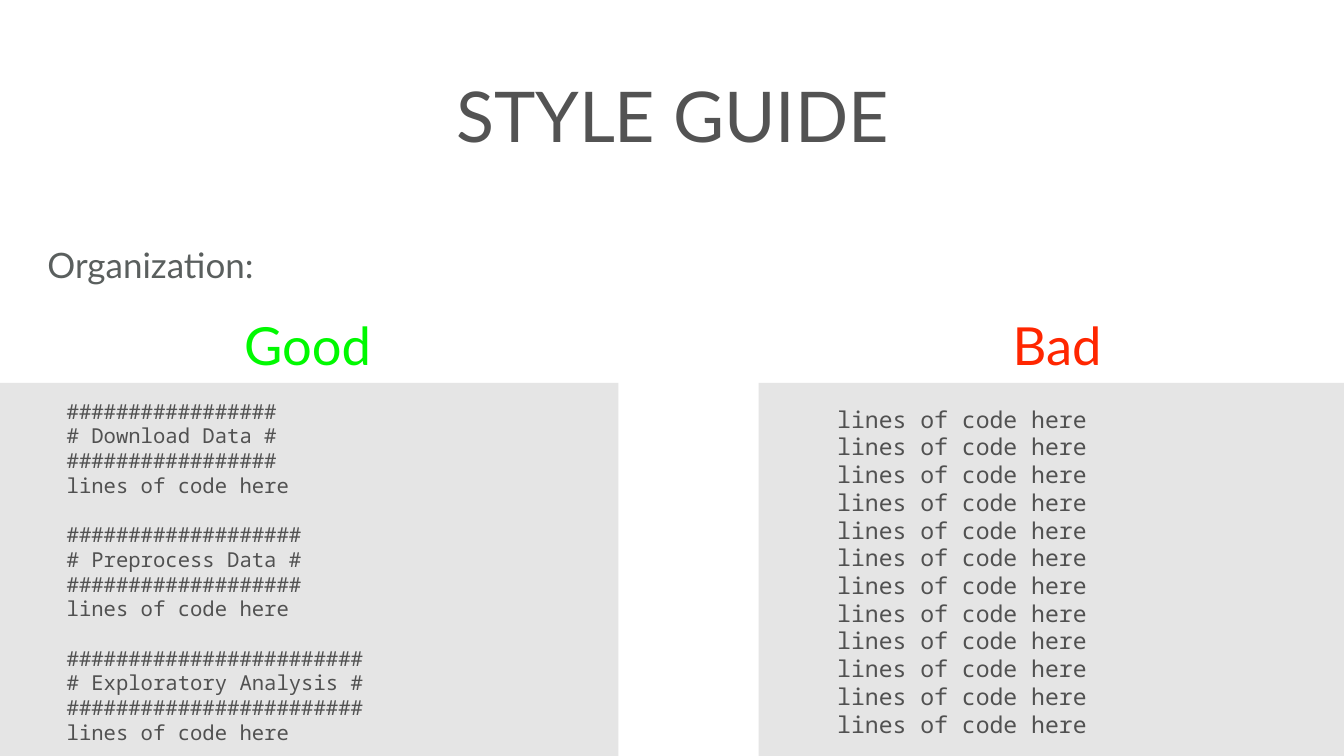
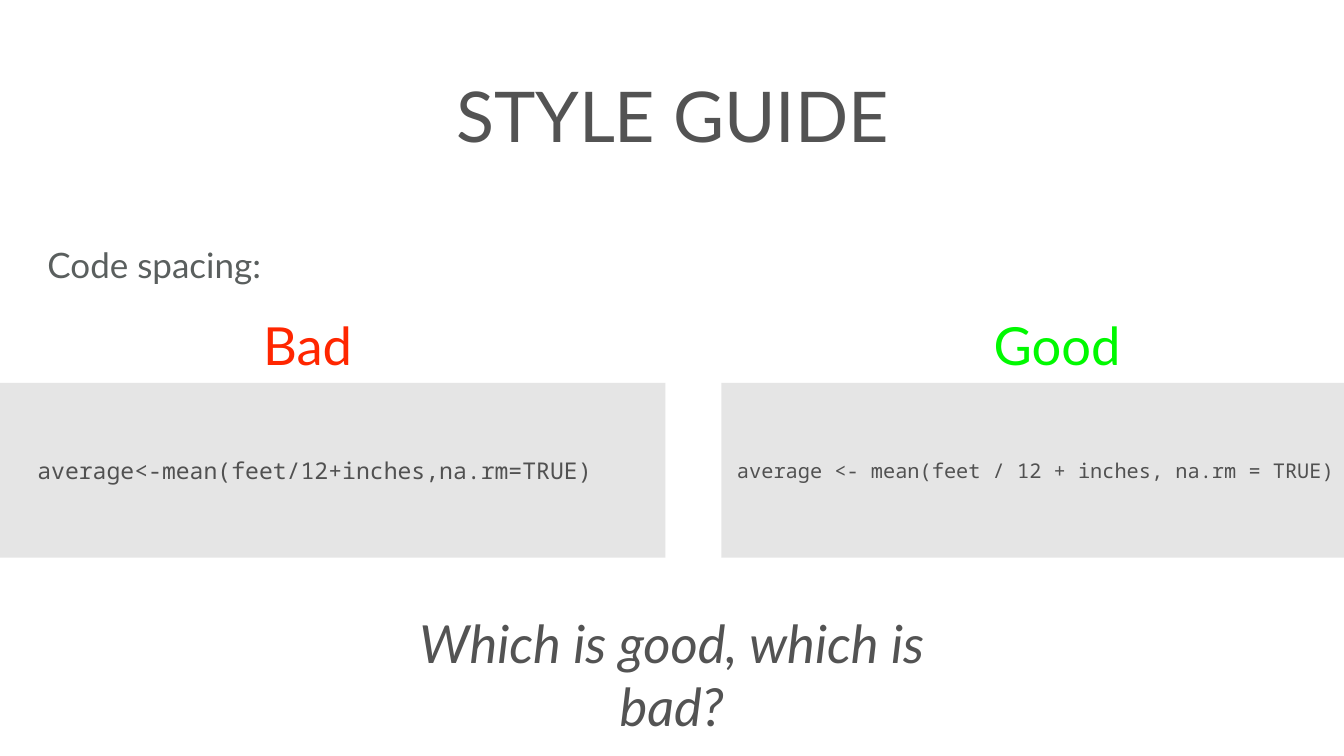
from pptx import Presentation
from pptx.dml.color import RGBColor
from pptx.enum.shapes import MSO_SHAPE
from pptx.enum.text import MSO_ANCHOR, MSO_AUTO_SIZE, PP_ALIGN
from pptx.util import Cm, Pt

HEADING_GREY = RGBColor(0x53, 0x53, 0x53)
TOPIC_GREY = RGBColor(0x5A, 0x5F, 0x5E)
CODE_GREY = RGBColor(0x51, 0x51, 0x51)
PANEL_GREY = RGBColor(0xE5, 0xE5, 0xE5)
GOOD_GREEN = RGBColor(0x00, 0xF9, 0x00)
BAD_RED = RGBColor(0xFF, 0x26, 0x00)

TEXT_FONT = "Lato"
CODE_FONT = "Noto Sans Mono"
INSET = Cm(0.15)
LINE_HEIGHT = 1.2
TITLE_ONLY = 5

TITLE_BOX = (1.88, 0.99, 64.03, 9.53)
TOPIC_BOX = (2.24, 12.12, 47.63, 2.97)
QUESTION_BOX = (18.36, 32.23, 30.99, 3.48)
PANEL_TOP = 19.3
VERDICT_TOP, VERDICT_HEIGHT = 15.62, 3.48
VERDICT_CENTERS = (15.5, 53.27)
VERDICTS = {"Good": (GOOD_GREEN, 6.8), "Bad": (BAD_RED, 4.85)}


def prepare_frame(frame, anchor):
    frame.margin_left = frame.margin_right = INSET
    frame.margin_top = frame.margin_bottom = INSET
    frame.vertical_anchor = anchor


def format_runs(paragraph, font, size, color, italic=None):
    for run in paragraph.runs:
        run.font.name = font
        run.font.size = Pt(size)
        run.font.color.rgb = color
        run.font.italic = italic


def set_indent(paragraph, margin, first_line):
    properties = paragraph._p.get_or_add_pPr()
    properties.set("marL", str(Cm(margin)))
    properties.set("indent", str(Cm(first_line)))


def add_title(slide, box):
    title = slide.shapes.title
    title.left, title.top, title.width, title.height = map(Cm, box)
    frame = title.text_frame
    frame.text = "STYLE GUIDE"
    prepare_frame(frame, MSO_ANCHOR.MIDDLE)
    frame.paragraphs[0].alignment = PP_ALIGN.CENTER
    format_runs(frame.paragraphs[0], TEXT_FONT, 100, HEADING_GREY)


def add_topic(slide, box, topic):
    frame = slide.shapes.add_textbox(*map(Cm, box)).text_frame
    frame.text = topic
    frame.word_wrap = True
    prepare_frame(frame, MSO_ANCHOR.TOP)
    set_indent(frame.paragraphs[0], 1.27, -1.27)
    format_runs(frame.paragraphs[0], TEXT_FONT, 50, TOPIC_GREY)


def add_code_panel(slide, box, sections, size, indent):
    panel = slide.shapes.add_shape(MSO_SHAPE.RECTANGLE, *map(Cm, box))
    panel.shadow.inherit = False
    panel.fill.solid()
    panel.fill.fore_color.rgb = PANEL_GREY
    panel.line.fill.background()
    frame = panel.text_frame
    frame.word_wrap = True
    prepare_frame(frame, MSO_ANCHOR.MIDDLE)
    frame.text = "\n".join(line for section in sections for line in section)
    pitch = Pt(size * LINE_HEIGHT)
    for paragraph in frame.paragraphs:
        paragraph.alignment = PP_ALIGN.LEFT
        paragraph.line_spacing = pitch
        set_indent(paragraph, 0, indent)
        format_runs(paragraph, CODE_FONT, size, CODE_GREY)
    section_start = 0
    for section in sections[:-1]:
        section_start += len(section)
        frame.paragraphs[section_start].space_before = pitch


def add_display_line(slide, box, text, color, italic=None):
    frame = slide.shapes.add_textbox(*map(Cm, box)).text_frame
    frame.text = text
    frame.word_wrap = False
    frame.auto_size = MSO_AUTO_SIZE.SHAPE_TO_FIT_TEXT
    prepare_frame(frame, MSO_ANCHOR.MIDDLE)
    frame.paragraphs[0].alignment = PP_ALIGN.CENTER
    format_runs(frame.paragraphs[0], TEXT_FONT, 75, color, italic)


def add_verdict(slide, center, verdict):
    color, width = VERDICTS[verdict]
    box = (center - width / 2, VERDICT_TOP, width, VERDICT_HEIGHT)
    add_display_line(slide, box, verdict, color)


def add_comparison(deck, topic, panel_height, sides):
    slide = deck.slides.add_slide(deck.slide_layouts[TITLE_ONLY])
    add_title(slide, TITLE_BOX)
    add_topic(slide, TOPIC_BOX, topic)
    for center, (verdict, left, width, sections, size, indent) in zip(VERDICT_CENTERS, sides):
        panel_box = (left, PANEL_TOP, width, panel_height)
        add_code_panel(slide, panel_box, sections, size, indent)
        add_verdict(slide, center, verdict)
    return slide


def banner_section(heading):
    banner = f"# {heading} #"
    rule = "#" * len(banner)
    return [rule, banner, rule, "lines of code here"]


def main():
    deck = Presentation()
    deck.slide_width, deck.slide_height = Cm(67.73), Cm(38.1)

    steps = ("Download Data", "Preprocess Data", "Exploratory Analysis")
    organized = [banner_section(step) for step in steps]
    unorganized = [["lines of code here"] * 12]
    add_comparison(deck, "Organization:", 19, [
        ("Good", -0.18, 31.34, organized, 29.4, 3.39),
        ("Bad", 38.23, 30.1, unorganized, 33, 3.81),
    ])

    cramped = [["average<-mean(feet/12+inches,na.rm=TRUE)"]]
    spaced = [["average <- mean(feet / 12 + inches, na.rm = TRUE)"]]
    spacing_slide = add_comparison(deck, "Code spacing:", 8.81, [
        ("Bad", -0.18, 33.71, cramped, 33, 1.91),
        ("Good", 36.35, 31.98, spaced, 29, 0.64),
    ])
    add_display_line(spacing_slide, QUESTION_BOX, "Which is good, which is bad?",
                     HEADING_GREY, italic=True)

    deck.save("out.pptx")


if __name__ == "__main__":
    main()
